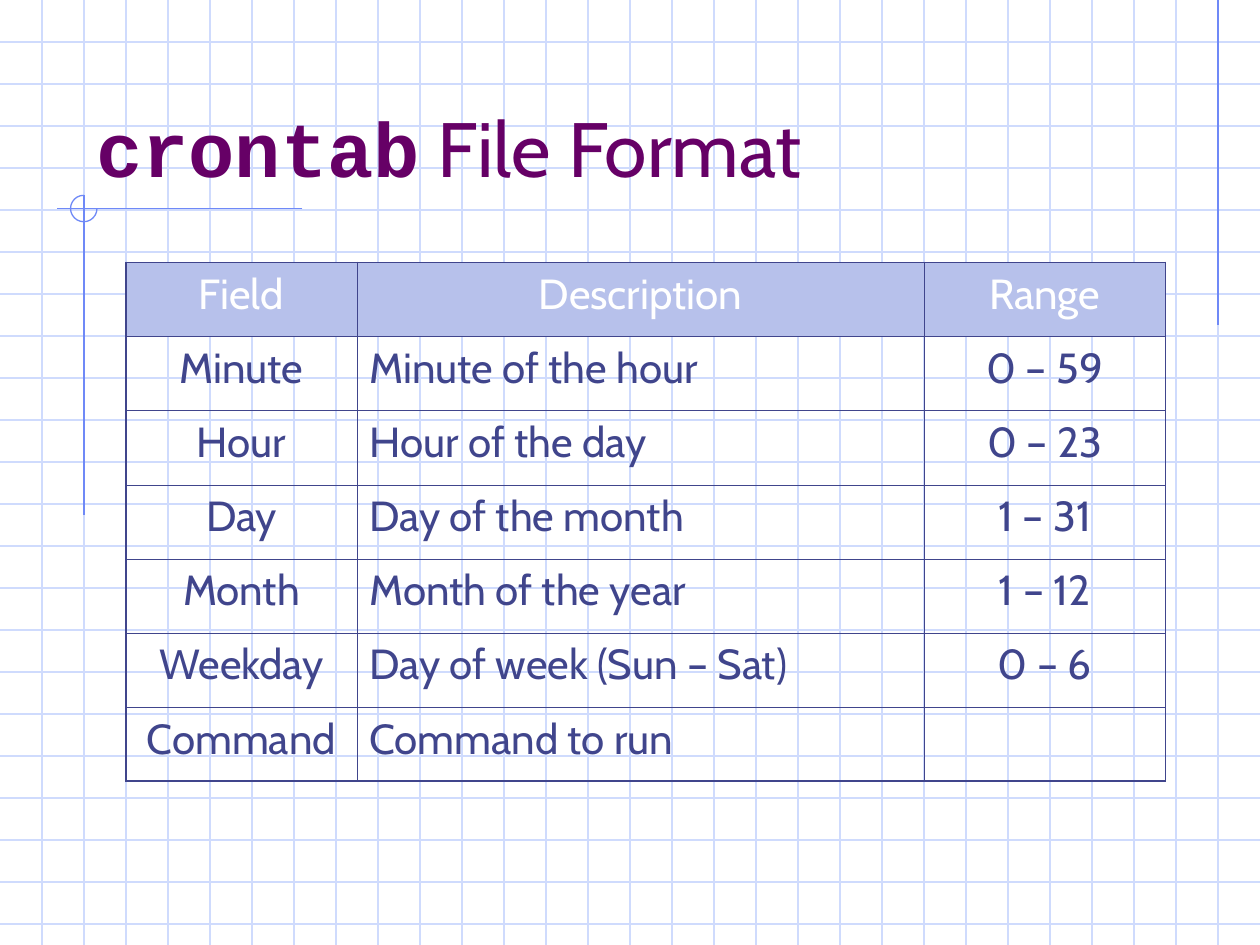
"""Build the crontab file format slide on a 30-column grid."""
from lxml import etree
from pptx import Presentation
from pptx.dml.color import RGBColor
from pptx.enum.shapes import MSO_CONNECTOR, MSO_SHAPE
from pptx.enum.text import MSO_ANCHOR, PP_ALIGN
from pptx.oxml.ns import qn
from pptx.util import Inches, Pt

STRAIGHT = MSO_CONNECTOR.STRAIGHT
ARC = MSO_SHAPE.ARC
BOTTOM = MSO_ANCHOR.BOTTOM
LEFT, CENTER = PP_ALIGN.LEFT, PP_ALIGN.CENTER

GRID = RGBColor(0xCF, 0xDB, 0xFD)
ACCENT = RGBColor(0x6F, 0x89, 0xF7)
PURPLE = RGBColor(0x66, 0x00, 0x66)
NAVY = RGBColor(0x40, 0x45, 0x8C)
HEADER = RGBColor(0xB7, 0xC1, 0xEB)
WHITE = RGBColor(0xFF, 0xFF, 0xFF)

COLS, ROWS = 30, 22.5
WIDTHS = [5.5, 13.5, 5.75]
ALIGNS = [CENTER, LEFT, CENTER]
DATA = [
    ("Field", "Description", "Range"),
    ("Minute", "Minute of the hour", "0 – 59"),
    ("Hour", "Hour of the day", "0 – 23"),
    ("Day", "Day of the month", "1 – 31"),
    ("Month", "Month of the year", "1 – 12"),
    ("Weekday", "Day of week (Sun – Sat)", "0 – 6"),
    ("Command", "Command to run", ""),
]
THICK, THIN = Pt(1.08), Pt(0.45)

prs = Presentation()
prs.slide_width, prs.slide_height = Inches(10), Inches(7.5)
U = prs.slide_width / COLS
s = prs.slides.add_slide(prs.slide_layouts[6])


def box(*units):
    return [round(u * U) for u in units]


def set_font(font, color, formats):
    font.color.rgb = color
    for name, value in formats.items():
        setattr(font, name, value)


lines = [(0, y, COLS, y, GRID) for y in range(1, 23)]
lines += [(x, 0, x, ROWS, GRID) for x in range(1, COLS)]
lines += [
    (29, 0, 29, 7.74, ACCENT),
    (7.2, 4.97, 1.35, 4.97, ACCENT),
    (2, 4.65, 2, 12.27, ACCENT),
]
for *ends, color in lines:
    sp = s.shapes.add_connector(STRAIGHT, *box(*ends))
    sp.line.color.rgb = color
    sp.line.width = Pt(0.75)
    etree.SubElement(sp.element.spPr, qn("a:effectLst"))

sp = s.shapes.add_shape(ARC, *box(1.68, 4.65, 0.63, 0.63))
sp.adjustments[0], sp.adjustments[1] = 0, 162
sp.shadow.inherit = False
sp.fill.background()
sp.line.color.rgb = ACCENT
sp.line.width = Pt(0.75)

tf = s.shapes.add_textbox(*box(2, 1, 25.5, 3.75)).text_frame
tf.word_wrap = True
tf.vertical_anchor = BOTTOM
p = tf.paragraphs[0]
for text, name, bold in [("crontab", "Courier New", True), (" File Format", "Cabin", False)]:
    r = p.add_run()
    r.text = text
    set_font(r.font, PURPLE, {"name": name, "size": Pt(44), "bold": bold})

table = s.shapes.add_table(len(DATA), len(WIDTHS), *box(3, 6.25, sum(WIDTHS), 12.36)).table
table.first_row = table.horz_banding = False
for col, width in zip(table.columns, WIDTHS):
    col.width = round(width * U)

for i, row in enumerate(DATA):
    for j, text in enumerate(row):
        cell = table.cell(i, j)
        outer = {
            "a:lnL": j == 0,
            "a:lnR": j == len(WIDTHS) - 1,
            "a:lnT": i == 0,
            "a:lnB": i == len(DATA) - 1,
        }
        tcPr = cell._tc.get_or_add_tcPr()
        for tag, is_outer in outer.items():
            ln = etree.SubElement(tcPr, qn(tag), w=str(THICK if is_outer else THIN))
            fill = etree.SubElement(ln, qn("a:solidFill"))
            etree.SubElement(fill, qn("a:srgbClr"), val=str(NAVY))
        if i == 0:
            cell.fill.solid()
            cell.fill.fore_color.rgb = HEADER
        else:
            cell.fill.background()
        cell.text = text
        p = cell.text_frame.paragraphs[0]
        p.alignment = CENTER if i == 0 else ALIGNS[j]
        set_font(p.font, WHITE if i == 0 else NAVY, {"name": "Cabin", "size": Pt(24), "bold": False})
        for r in p.runs:
            set_font(r.font, WHITE if i == 0 else NAVY, {"name": "Cabin", "size": Pt(24), "bold": False})

prs.save("out.pptx")
